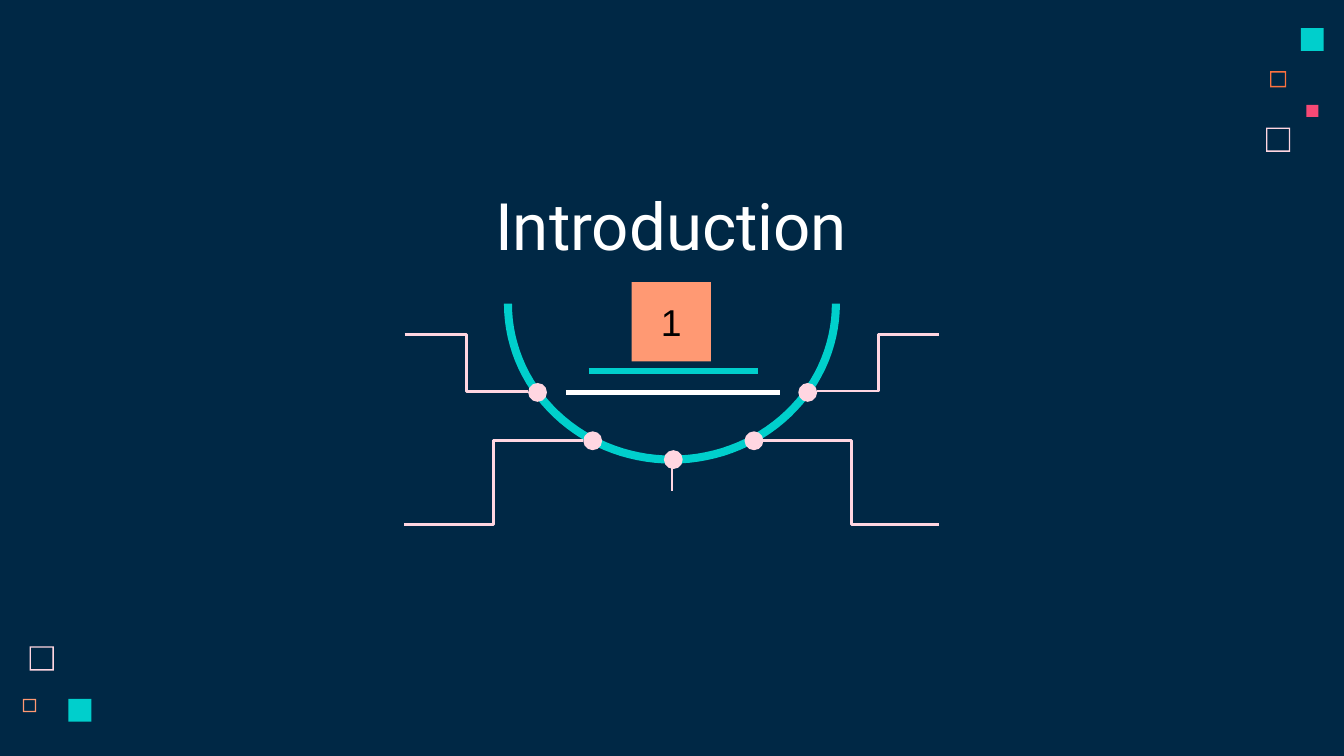
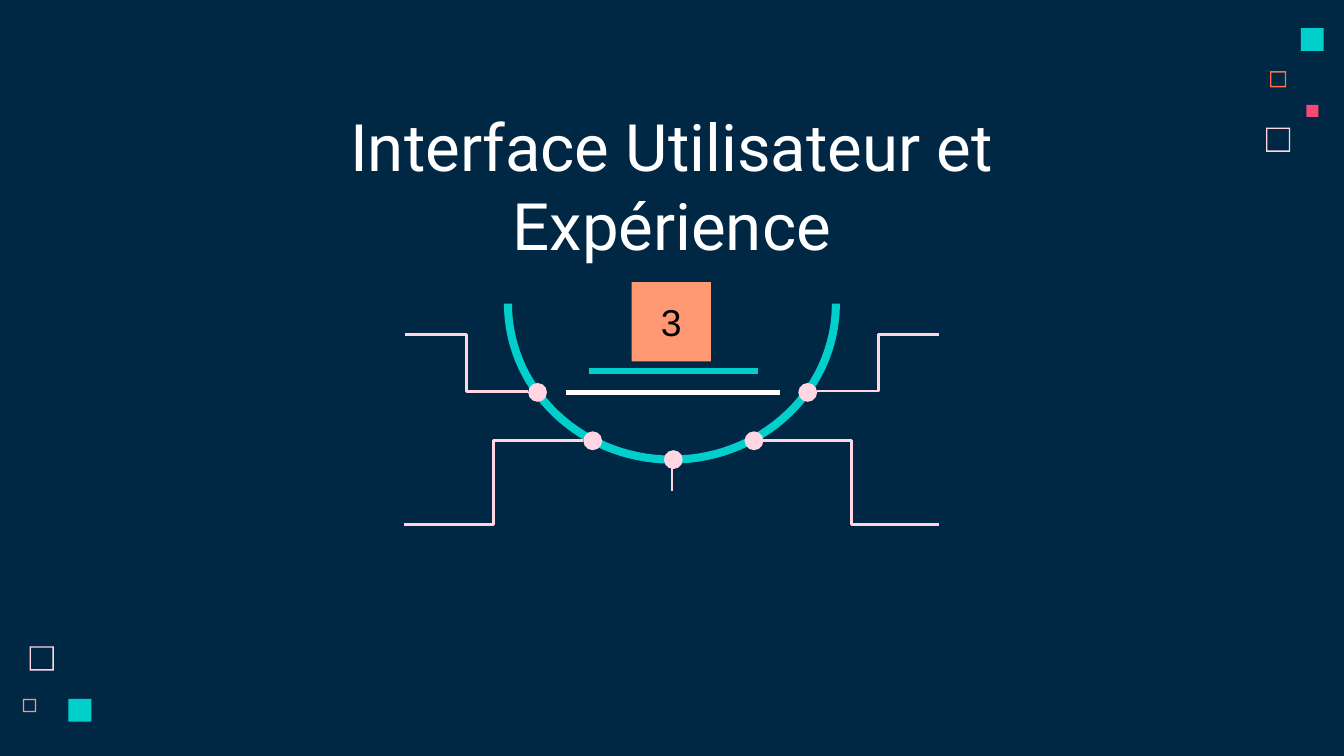
from math import cos, pi, sin

from lxml.etree import SubElement
from pptx import Presentation
from pptx.dml.color import RGBColor
from pptx.enum.shapes import MSO_CONNECTOR as CONN, MSO_SHAPE as SHAPE
from pptx.enum.text import MSO_ANCHOR as ANCHOR, PP_ALIGN as ALIGN
from pptx.oxml.ns import qn
from pptx.util import Inches, Pt

NAVY = RGBColor(0x00, 0x28, 0x45)
TEAL = RGBColor(0x00, 0xCF, 0xCC)
PINK = RGBColor(0xFF, 0xD6, 0xE1)
ORANGE = RGBColor(0xFC, 0x72, 0x3F)
PEACH = RGBColor(0xFF, 0x99, 0x73)
ROSE = RGBColor(0xF6, 0x49, 0x75)
WHITE = RGBColor(0xFF, 0xFF, 0xFF)
BLACK = RGBColor(0x00, 0x00, 0x00)

FRAMES = [
    (9.42, 0.95, 0.18, PINK),
    (9.45, 0.53, 0.12, ORANGE),
    (0.17, 5.2, 0.1, PEACH),
    (0.22, 4.81, 0.18, PINK),
]
SQUARES = [
    (9.68, 0.21, 0.17, TEAL),
    (9.72, 0.78, 0.09, ROSE),
    (0.51, 5.2, 0.17, TEAL),
]
DOT = 0.14
DOTS = [(5.54, 3.21), (4.34, 3.21), (4.94, 3.35), (5.94, 2.85), (3.93, 2.85)]
BRANCHES = [
    (3.01, 2.49, 3.93, 2.91),
    (4.34, 3.28, 3.01, 3.9),
    (6.08, 2.91, 6.99, 2.49),
    (5.68, 3.28, 6.99, 3.9),
]
SECTIONS = [
    ("Introduction", "1", 3.01, 3.97),
    ("Interface Utilisateur et Expérience", "3", 1.61, 6.78),
]


def paint(sp, color):
    sp.shadow.inherit = False
    sp.fill.solid()
    sp.fill.fore_color.rgb = color
    sp.line.fill.background()
    return sp


def add_solid(slide, kind, x, y, size, color):
    box = [Inches(v) for v in (x, y, size, size)]
    return paint(slide.shapes.add_shape(kind, *box), color)


def add_outline(slide, contours, color):
    contours = [[(Inches(x), Inches(y)) for x, y in c] for c in contours]
    fb = slide.shapes.build_freeform(*contours[0][0])
    for i, points in enumerate(contours):
        if i:
            fb.move_to(*points[0])
        fb.add_line_segments(points[1:], close=True)
    return paint(fb.convert_to_shape(), color)


def add_frame(slide, x, y, size, color, edge=0.01):
    right, bottom = x + size, y + size
    outer = [(x, y), (x, bottom), (right, bottom), (right, y)]
    inner = [
        (right - edge, y + edge),
        (right - edge, bottom - edge),
        (x + edge, bottom - edge),
        (x + edge, y + edge),
    ]
    add_outline(slide, [outer, inner], color)


def add_bowl(slide, cx, cy, rx, ry, width, color, steps=60):
    def half(a, b):
        angles = [pi * i / steps for i in range(steps + 1)]
        return [(cx + a * cos(t), cy + b * sin(t)) for t in angles]

    inner = half(rx - width, ry - width)
    add_outline(slide, [half(rx, ry) + inner[::-1]], color)


def add_line(slide, x1, y1, x2, y2, color=PINK, width=1.5, kind=CONN.STRAIGHT):
    ends = [Inches(v) for v in (x1, y1, x2, y2)]
    line = slide.shapes.add_connector(kind, *ends)
    line.line.color.rgb = color
    line.line.width = Pt(width)
    SubElement(line._element.spPr, qn("a:effectLst"))


def write(sp, text, font, size, color, anchor):
    tf = sp.text_frame
    tf.word_wrap = True
    tf.vertical_anchor = anchor
    tf.margin_left = tf.margin_right = Inches(0.1)
    tf.margin_top = tf.margin_bottom = Inches(0.1)
    p = tf.paragraphs[0]
    p.alignment = ALIGN.CENTER
    r = p.add_run()
    r.text = text
    r.font.name = font
    r.font.size = Pt(size)
    r.font.color.rgb = color


def add_corner_squares(slide):
    for frame in FRAMES:
        add_frame(slide, *frame)
    for square in SQUARES:
        add_solid(slide, SHAPE.RECTANGLE, *square)


def add_emblem(slide):
    add_bowl(slide, 5, 2.26, 1.25, 1.19, 0.06, TEAL)
    for x, y in DOTS:
        add_solid(slide, SHAPE.OVAL, x, y, DOT, PINK)
    for branch in BRANCHES:
        add_line(slide, *branch, kind=CONN.ELBOW)
    add_line(slide, 5, 3.48, 5, 3.65)
    add_line(slide, 4.38, 2.76, 5.64, 2.76, color=TEAL, width=3)
    add_line(slide, 4.21, 2.92, 5.8, 2.92, color=WHITE, width=3)


def add_section(prs, title, number, left, width):
    slide = prs.slides.add_slide(prs.slide_layouts[6])
    slide.background.fill.solid()
    slide.background.fill.fore_color.rgb = NAVY
    add_corner_squares(slide)
    add_emblem(slide)
    box = [Inches(v) for v in (left, 1.56, width, 0.5)]
    write(slide.shapes.add_textbox(*box), title, font="Roboto", size=35,
          color=WHITE, anchor=ANCHOR.BOTTOM)
    badge = add_solid(slide, SHAPE.RECTANGLE, 4.7, 2.1, 0.59, PEACH)
    write(badge, number, font="Arial", size=20, color=BLACK,
          anchor=ANCHOR.MIDDLE)


def main():
    prs = Presentation()
    prs.slide_width = Inches(10)
    prs.slide_height = prs.slide_width * 9 // 16
    for section in SECTIONS:
        add_section(prs, *section)
    prs.save("out.pptx")


if __name__ == "__main__":
    main()
